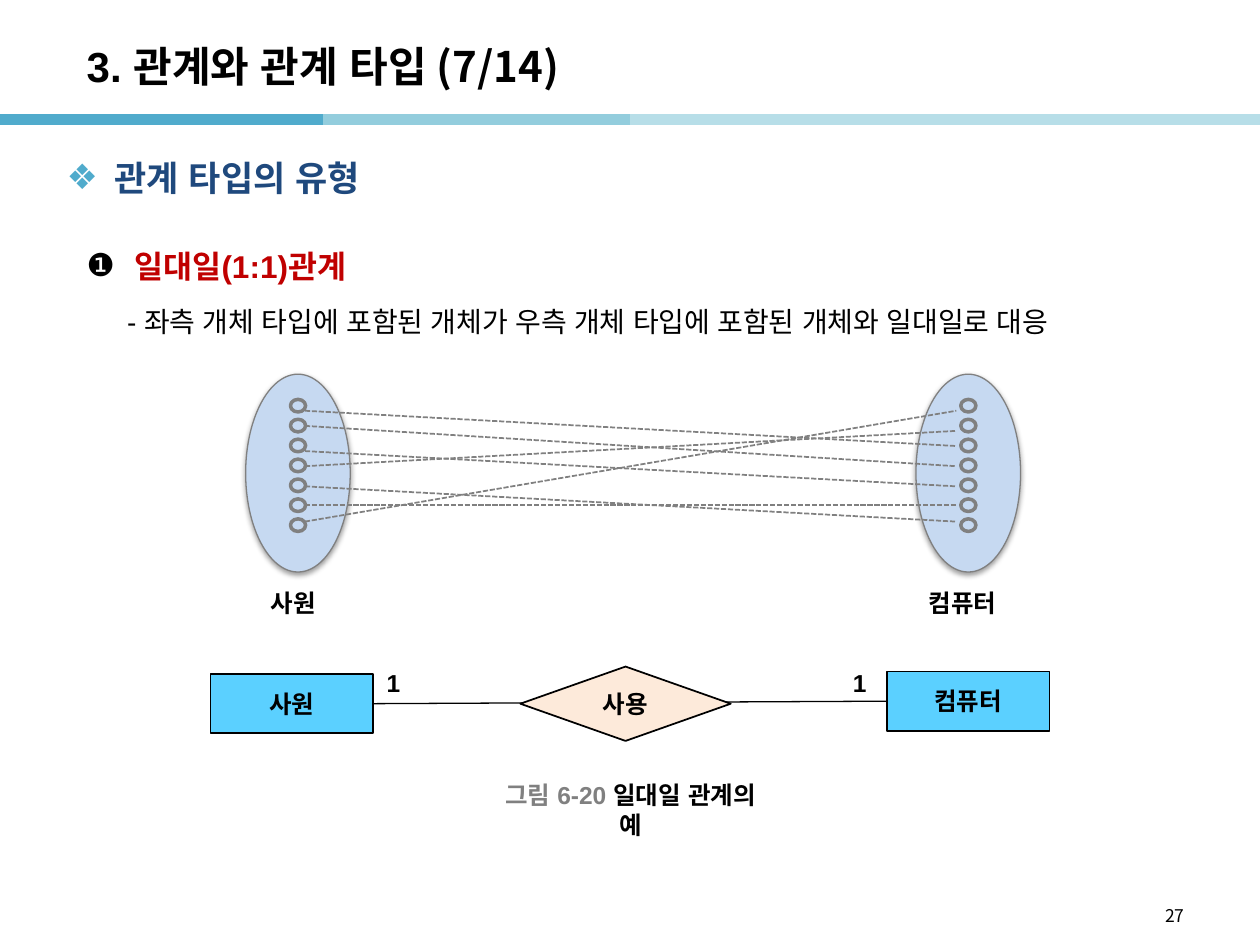
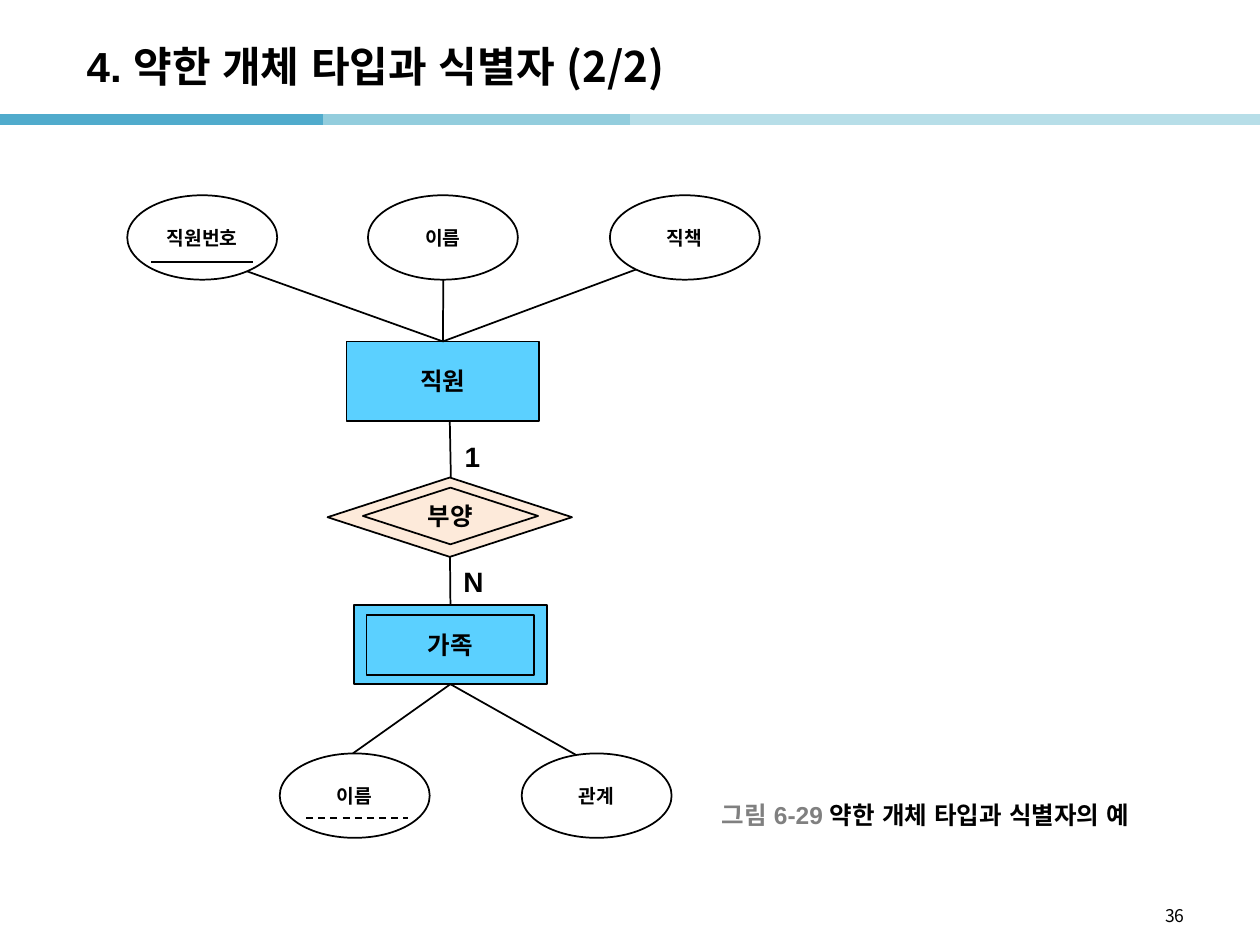
from lxml.etree import SubElement
from pptx import Presentation
from pptx.dml.color import RGBColor
from pptx.enum.dml import MSO_LINE
from pptx.enum.shapes import MSO_CONNECTOR, MSO_SHAPE
from pptx.enum.text import MSO_ANCHOR, PP_ALIGN
from pptx.oxml.ns import qn
from pptx.util import Inches, Pt

HUE = {
    "black": "000000", "white": "FFFFFF", "gray": "808080", "red": "C00000",
    "navy": "1F497D", "teal": "50ABCC", "aqua": "93CDDD", "pale": "B7DEE8",
    "sky": "5BD0FF", "peach": "FDEADA", "mist": "C6D9F1",
}
LATIN, HANGUL = "Arial", "Noto Sans CJK KR"
TOP, LEFT, BOTTOM, RIGHT = range(4)
OVAL, RECT = MSO_SHAPE.OVAL, MSO_SHAPE.RECTANGLE
RHOMB, DOT = MSO_SHAPE.FLOWCHART_DECISION, MSO_SHAPE.FLOWCHART_CONNECTOR

deck = Presentation()
deck.slide_width, deck.slide_height = Inches(10), Inches(7.5)
COL, ROW = deck.slide_width / 100, deck.slide_height / 75


def put(slide, kind, box, paras=(), size=14, fill=None, edge="black", width=1,
        bold=True, align=None, anchor=MSO_ANCHOR.TOP, wrap=False):
    """Add a shape, or a text box if kind is None; box is in grid units.

    Each paragraph is a list of (words, colour, font) runs.
    """
    x, y, w, h = box
    area = (round(x * COL), round(y * ROW), round(w * COL), round(h * ROW))
    if kind is None:
        item = slide.shapes.add_textbox(*area)
    else:
        item = slide.shapes.add_shape(kind, *area)
        item.shadow.inherit = False
        item.fill.solid()
        item.fill.fore_color.rgb = RGBColor.from_string(HUE[fill])
        item.line.color.rgb = RGBColor.from_string(HUE[edge])
        item.line.width = Pt(width)
        align, anchor = PP_ALIGN.CENTER, MSO_ANCHOR.MIDDLE
    frame = item.text_frame
    frame.word_wrap, frame.vertical_anchor = wrap, anchor
    for i, runs in enumerate(paras):
        para = frame.add_paragraph() if i else frame.paragraphs[0]
        para.alignment = align
        for words, hue, face in runs:
            run = para.add_run()
            run.text = words
            run.font.size, run.font.bold, run.font.name = Pt(size), bold, face
            run.font.color.rgb = RGBColor.from_string(HUE[hue])
            SubElement(run._r.rPr, qn("a:ea")).set("typeface", face)
    return item


def link(slide, start, end, hue="black", width=1, dash=None):
    """Draw a line; each end is a grid point or a (shape, side) pair."""
    spots = [(0, 0) if hasattr(p[0], "text_frame")
             else (round(p[0] * COL), round(p[1] * ROW)) for p in (start, end)]
    line = slide.shapes.add_connector(MSO_CONNECTOR.STRAIGHT, *spots[0], *spots[1])
    if hasattr(start[0], "text_frame"):
        line.begin_connect(*start)
    if hasattr(end[0], "text_frame"):
        line.end_connect(*end)
    line.line.color.rgb = RGBColor.from_string(HUE[hue])
    line.line.width = Pt(width)
    if dash:
        line.line.dash_style = dash
    SubElement(line._element.spPr, qn("a:effectLst"))
    return line


# Frame of both slides
BANDS = [(0, 25.6, "teal"), (25.6, 51.2, "aqua"), (50, 75.6, "pale"), (74.6, 100.2, "pale")]
pages = []
for name, part, num in [("3. 관계와 관계 타입", " (7/14)", "27"),
                        ("4. 약한 개체 타입과 식별자 ", "(2/2)", "36")]:
    page = deck.slides.add_slide(deck.slide_layouts[6])
    for x1, x2, hue in BANDS:
        link(page, (x1, 9.5), (x2, 9.5), hue, 6)
    put(page, None, (5.9, 2.2, 82.7, 6),
        [[(name, "black", LATIN), (part, "black", HANGUL)]],
        24, anchor=MSO_ANCHOR.MIDDLE, wrap=True)
    put(page, None, (71.7, 71.3, 23.3, 2.8), [[(num, "black", HANGUL)]],
        10, bold=False, align=PP_ALIGN.RIGHT, wrap=True)
    pages.append(page)
one, weak = pages

# One-to-one relation: text
head = put(one, None, (4.3, 11.9, 88.2, 6.2),
           [[("관계 타입의 유형", "navy", LATIN)]], 20, wrap=True)
body = put(one, None, (5.9, 17.6, 91.3, 9.7),
           [[("일대일(1:1)관계", "red", LATIN)],
            [("- 좌측 개체 타입에 포함된 개체가 우측 개체 타입에 포함된 개체와 일대일로 대응",
              "black", LATIN)]], 18, wrap=True)
for box, sign, hue in [(head, "❖", "teal"), (body, "❶", "black")]:
    props = box.text_frame.paragraphs[0]._p.get_or_add_pPr()
    props.set("marL", str(Inches(0.38)))
    props.set("indent", str(-Inches(0.38)))
    tint = SubElement(props, qn("a:buClr"))
    SubElement(tint, qn("a:srgbClr")).set("val", HUE[hue])
    SubElement(props, qn("a:buFont")).set("typeface", LATIN)
    SubElement(props, qn("a:buChar")).set("char", sign)
for para in body.text_frame.paragraphs:
    para.line_spacing = 1.5
note = body.text_frame.paragraphs[1]
note._p.get_or_add_pPr().set("marL", str(Inches(0.32)))
note.space_before = Pt(2)
note.runs[0].font.size, note.runs[0].font.bold = Pt(16), False

# Two sets of seven members
for x, tag_x, tag_w, tag in [(19.5, 20.5, 5.9, "사원"), (72.7, 72.7, 7.9, "컴퓨터")]:
    ring = put(one, OVAL, (x, 29.7, 8.3, 15.7), fill="mist", edge="gray", width=0.75)
    glow = SubElement(ring._element.spPr.find(qn("a:effectLst")), qn("a:outerShdw"),
                      blurRad=str(Pt(3.1)), dist=str(Pt(1.6)), dir="5400000", rotWithShape="0")
    shade = SubElement(glow, qn("a:srgbClr"), val=HUE["black"])
    SubElement(shade, qn("a:alpha"), val="38000")
    for i in range(7):
        put(one, DOT, (x + 3.55, 31.7 + i * 1.58, 1.2, 1), fill="mist", edge="gray", width=2)
    put(one, None, (tag_x, 46.2, tag_w, 3.4), [[(tag, "black", LATIN)]])
for y1, y2 in [(32.6, 35.4), (41.4, 32.6), (35.8, 38.6), (33.8, 37),
               (37, 34.2), (38.6, 41.4), (40.1, 40.1)]:
    link(one, (24.2, y1), (75.9, y2), "gray", 1, MSO_LINE.SQUARE_DOT)

# Staff - uses - computer
staff, tool = [put(one, RECT, (x, y, 12.9, 4.7), [[(word, "black", LATIN)]], fill="sky")
               for x, y, word in [(16.7, 53.5, "사원"), (70.4, 53.3, "컴퓨터")]]
link(one, (tool, LEFT), (staff, RIGHT), width=0.75)
put(one, RHOMB, (41.3, 52.9, 16.7, 5.9), [[("사용", "black", LATIN)]], fill="peach")
for x in (29.7, 66.7):
    put(one, None, (x, 52.5, 3.2, 3.4), [[("1", "black", LATIN)]])

# Figure captions
for page, box, num, name, align in [
        (one, (38, 62.7, 24.1, 3.1), "그림 6-20 ", "일대일 관계의 예", PP_ALIGN.CENTER),
        (weak, (56.3, 63.1, 35.2, 3.1), "그림 6-29 ", "약한 개체 타입과 식별자의 예", PP_ALIGN.LEFT)]:
    put(page, None, box, [[(num, "gray", LATIN), (name, "black", LATIN)]],
        align=align, anchor=MSO_ANCHOR.MIDDLE)

# Weak entity: boxes and their lines
boss = put(weak, RECT, (27.5, 27.1, 15.3, 6.3), [[("직원", "black", LATIN)]], fill="sky")
kin = put(weak, RECT, (28.1, 48, 15.3, 6.3), fill="sky")
put(weak, RECT, (29.1, 48.8, 13.3, 4.8), [[("가족", "black", LATIN)]], fill="sky")
for spot in [(17, 20.6), (35.2, 20.8), (52.6, 20.6)]:
    link(weak, spot, (boss, TOP))
for spot in [(28, 59.8), (46.4, 60.3)]:
    link(weak, (kin, BOTTOM), spot)
link(weak, (35.7, 33.4), (35.8, 38.7))
link(weak, (35.7, 42.3), (kin, TOP))

# Double rhomb with its counts
put(weak, RHOMB, (26, 37.9, 19.4, 6.3), fill="peach")
put(weak, RHOMB, (28.8, 38.7, 13.9, 4.5), [[("부양", "black", LATIN)]], fill="peach")
for x, y, w, count in [(35.9, 34.4, 3.3, "1"), (35.8, 44.3, 3.8, "N")]:
    put(weak, None, (x, y, w, 3.7), [[(count, "black", LATIN)]], 16)

# Attributes
for x, y, word in [(10.1, 15.5, "직원번호"), (29.2, 15.5, "이름"), (48.4, 15.5, "직책"),
                   (22.2, 59.8, "이름"), (41.4, 59.8, "관계")]:
    put(weak, OVAL, (x, y, 11.9, 6.7), [[(word, "black", LATIN)]], 11, fill="white")
link(weak, (12, 20.8), (20.1, 20.8))
link(weak, (24.3, 64.9), (32.4, 64.9), dash=MSO_LINE.DASH)

deck.save("out.pptx")
